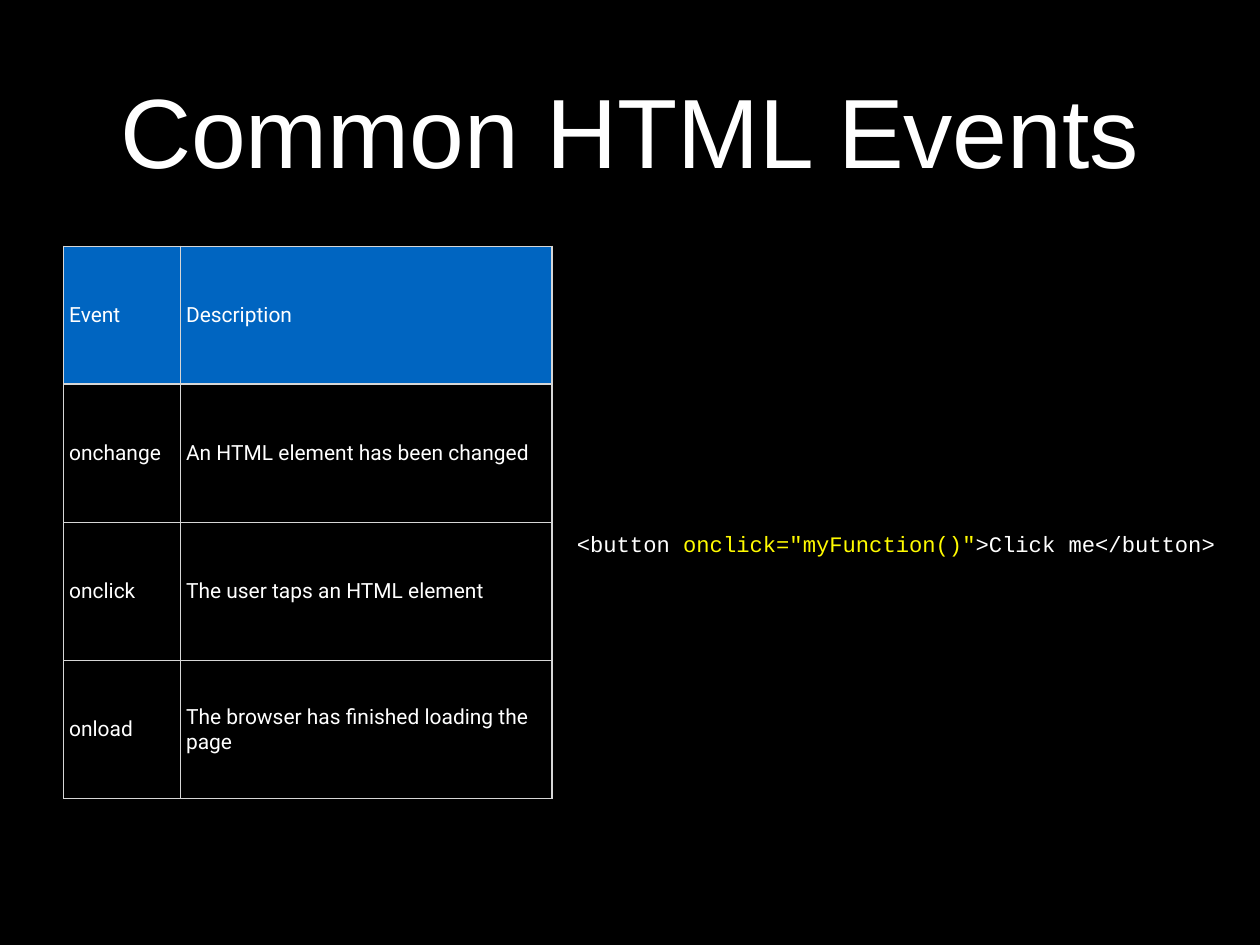
from lxml import etree
from pptx import Presentation
from pptx.dml.color import RGBColor
from pptx.enum.text import MSO_ANCHOR, PP_ALIGN
from pptx.oxml.ns import qn
from pptx.util import Emu, Pt

PX = 9144  # 100 px to the inch
BLACK = RGBColor(0x00, 0x00, 0x00)
WHITE = RGBColor(0xFF, 0xFF, 0xFF)
YELLOW = RGBColor(0xFF, 0xFB, 0x00)
BLUE = RGBColor(0x00, 0x65, 0xC1)
GRID = RGBColor(0xD6, 0xD6, 0xD6)
MIDDLE = MSO_ANCHOR.MIDDLE
CENTER = PP_ALIGN.CENTER
LEFT = PP_ALIGN.LEFT


def px(*lengths):
    return [Emu(n * PX) for n in lengths]


def write(tf, *runs, font, size, align=LEFT, margin=6):
    """Fill a text frame with one paragraph of (text, colour) runs."""
    tf.word_wrap = True
    tf.vertical_anchor = MIDDLE
    tf.margin_left, tf.margin_top, tf.margin_right, tf.margin_bottom = px(*[margin] * 4)
    p = tf.paragraphs[0]
    p.alignment = align
    for text, color in runs:
        r = p.add_run()
        r.text = text
        r.font.name = font
        r.font.size = Pt(size)
        r.font.color.rgb = color


prs = Presentation()
prs.slide_width, prs.slide_height = px(1422, 1067)
s = prs.slides.add_slide(prs.slide_layouts[6])
s.background.fill.solid()
s.background.fill.fore_color.rgb = BLACK

# Title
title = s.shapes.add_textbox(*px(104, 28, 1214, 236))
write(title.text_frame, ("Common HTML Events", WHITE),
      font="Arial", size=80, align=CENTER, margin=0)

# Event table
EVENTS = [
    ("Event", "Description"),
    ("onchange", "An HTML element has been changed"),
    ("onclick", "The user taps an HTML element"),
    ("onload", "The browser has finished loading the page"),
]
COL_WIDTHS = px(132, 419)
table = s.shapes.add_table(len(EVENTS), 2, *px(72, 278, 551, 624)).table
table.first_row = False
table.horz_banding = False
for column, width in zip(table.columns, COL_WIDTHS):
    column.width = width

for i, row in enumerate(EVENTS):
    for j, text in enumerate(row):
        cell = table.cell(i, j)
        write(cell.text_frame, (text, WHITE), font="Roboto", size=17)
        cell.vertical_anchor = MIDDLE
        cell.margin_left, cell.margin_top, cell.margin_right, cell.margin_bottom = px(6, 6, 6, 6)

        # Borders, thicker under the header
        tcPr = cell._tc.get_or_add_tcPr()
        for side in ("lnL", "lnR", "lnT", "lnB"):
            thick = (i, side) in ((0, "lnB"), (1, "lnT"))
            ln = etree.SubElement(tcPr, qn(f"a:{side}"), w=str(Pt(2 if thick else 1)))
            fill = etree.SubElement(ln, qn("a:solidFill"))
            etree.SubElement(fill, qn("a:srgbClr"), val=str(GRID))

        if i == 0:
            cell.fill.solid()
            cell.fill.fore_color.rgb = BLUE
        else:
            cell.fill.background()

# Code sample
code = s.shapes.add_textbox(*px(645, 592, 735, 44))
write(code.text_frame, ("<button ", WHITE), ('onclick="myFunction()"', YELLOW),
      (">Click me</button>", WHITE), font="Courier New", size=18)

prs.save("out.pptx")
